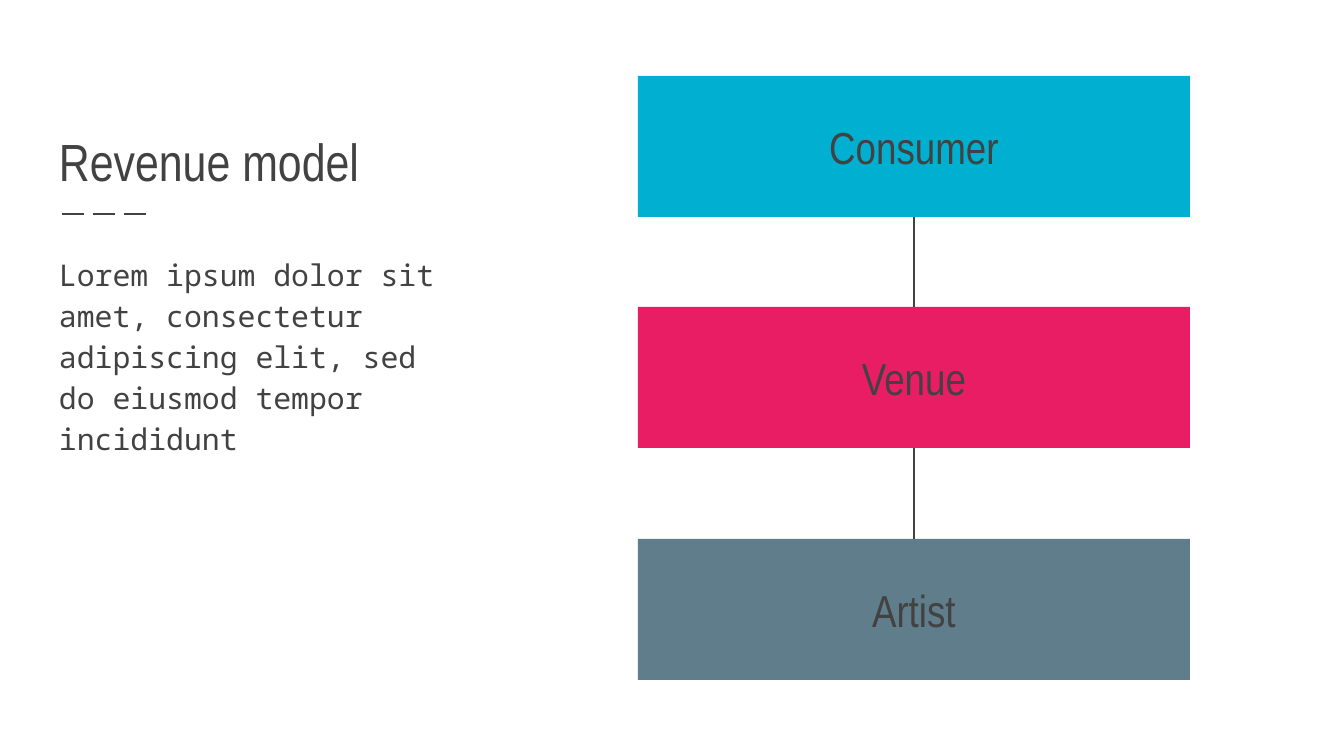
from lxml.etree import SubElement as Sub
from pptx import Presentation
from pptx.dml.color import RGBColor
from pptx.enum.dml import MSO_LINE as Dash
from pptx.enum.shapes import MSO_CONNECTOR as Conn, MSO_SHAPE as Shape
from pptx.enum.text import MSO_ANCHOR as Anchor, PP_ALIGN as Align
from pptx.oxml.ns import qn
from pptx.util import Pt

SCALE = 914400 / 134.4
INK = "424242"
HEAD = "Arial Narrow"
MONO = "Noto Sans Mono"
LEFT, TOP, WIDE, HIGH = 638, 76, 552, 141
SPAN = 463
ROLES = [("Consumer", "01AFD1"), ("Venue", "E91D63"), ("Artist", "607D8B")]


def px(n):
    return round(n * SCALE)


def tint(code):
    return RGBColor.from_string(code)


def write(shape, text, font, size, anchor, align=Align.LEFT):
    frame = shape.text_frame
    frame.word_wrap = True
    frame.vertical_anchor = anchor
    frame.margin_left = frame.margin_right = px(13)
    frame.margin_top = frame.margin_bottom = px(13)
    para = frame.paragraphs[0]
    para.alignment = align
    run = para.add_run()
    run.text = text
    run.font.name = font
    run.font.size = Pt(size)
    run.font.color.rgb = tint(INK)
    return para


def label(slide, x, y, w, h, text, font, size, anchor):
    box = slide.shapes.add_textbox(px(x), px(y), px(w), px(h))
    return write(box, text, font, size, anchor)


def block(slide, y, text, fill):
    box = slide.shapes.add_shape(Shape.RECTANGLE, px(LEFT), px(y), px(WIDE), px(HIGH))
    box.shadow.inherit = False
    box.fill.solid()
    box.fill.fore_color.rgb = tint(fill)
    box.line.fill.background()
    write(box, text, HEAD, 24, Anchor.MIDDLE, Align.CENTER)
    return box


def rule(slide, x1, y1, x2, y2, width):
    line = slide.shapes.add_connector(Conn.STRAIGHT, px(x1), px(y1), px(x2), px(y2))
    line.line.color.rgb = tint(INK)
    line.line.width = Pt(width)
    Sub(line._element.spPr, qn("a:effectLst"))
    return line


def link(slide, above, below):
    line = rule(slide, 0, 0, 0, 0, 0.75)
    line.begin_connect(above, 2)
    line.end_connect(below, 0)


def main():
    deck = Presentation()
    deck.slide_width, deck.slide_height = px(1344), px(756)
    slide = deck.slides.add_slide(deck.slide_layouts[6])

    rule(slide, 62, 214, 152, 214, 1.5).line.dash_style = Dash.LONG_DASH
    label(slide, 46, 93, 413, 112, "Revenue model", HEAD, 28, Anchor.BOTTOM)
    body = label(
        slide, 46, 238, 413, 434,
        "Lorem ipsum dolor sit amet, consectetur adipiscing elit, "
        "sed do eiusmod tempor incididunt",
        MONO, 16, Anchor.TOP,
    )
    body.line_spacing = 1.15
    body.space_after = Pt(16)

    boxes = [
        block(slide, TOP + i * SPAN // 2, text, fill)
        for i, (text, fill) in enumerate(ROLES)
    ]
    for above, below in zip(boxes, boxes[1:]):
        link(slide, above, below)

    deck.save("out.pptx")


if __name__ == "__main__":
    main()
